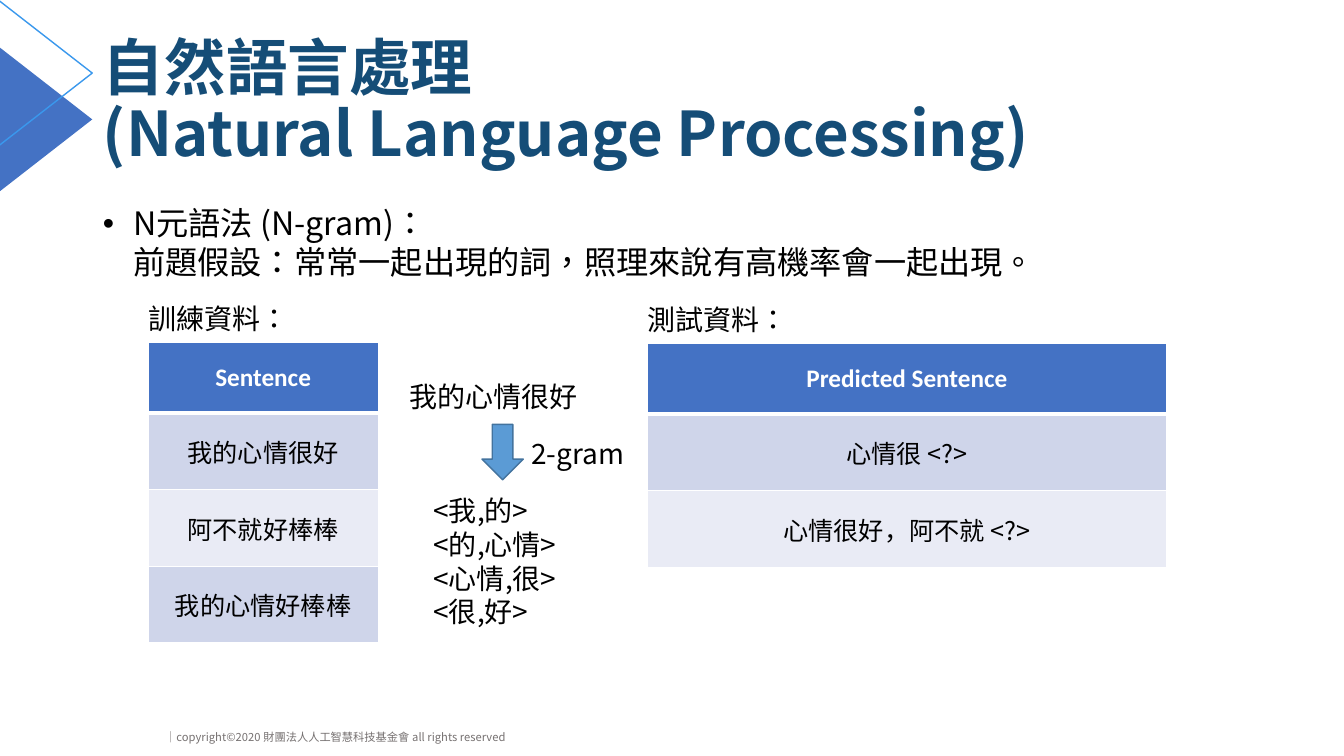
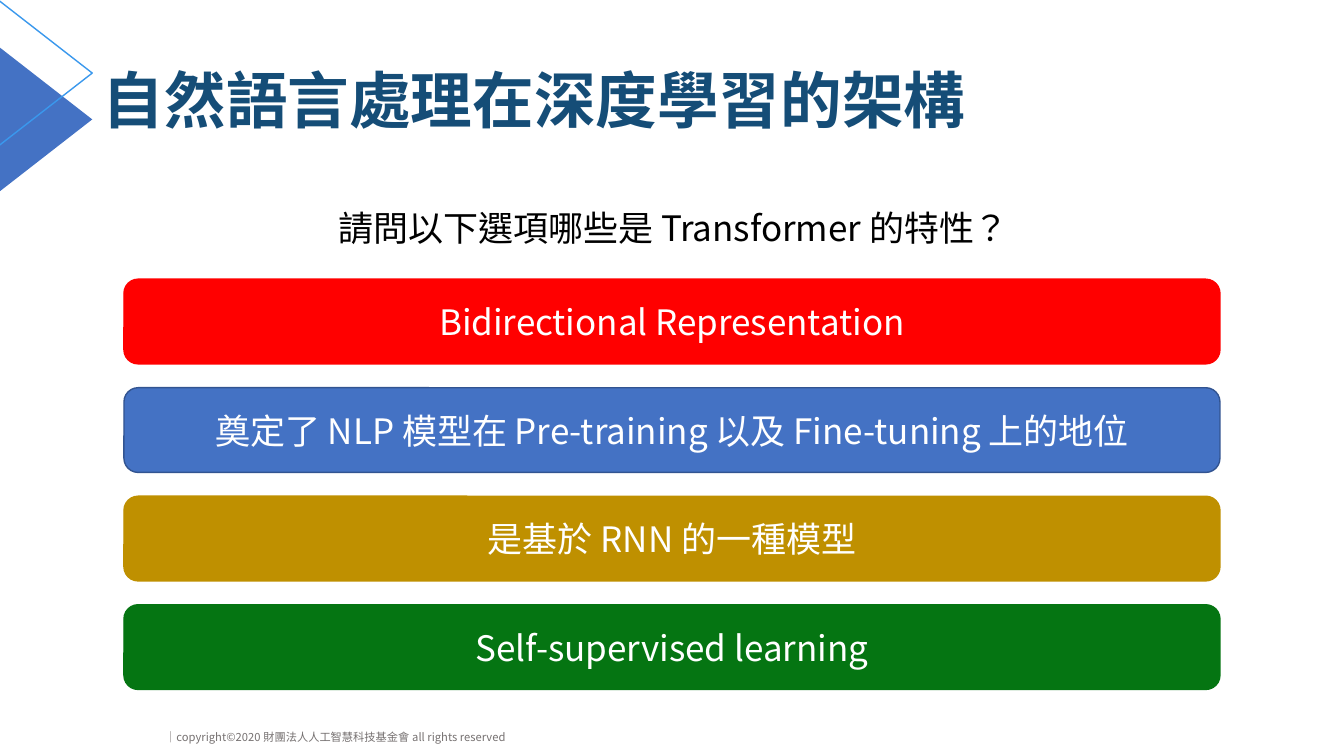
"""Build two slides on natural language processing."""
from pptx import Presentation
from pptx import util as u
from pptx.dml.color import RGBColor
from pptx.enum import lang, shapes, text
from pptx.oxml import ns, xmlchemy

FACE, HEAD_FACE, FOOT_FACE = "Noto Sans CJK SC", "Calibri", "Noto Sans CJK TC"
TITLE_SIZE, LIST_SIZE, QUIZ_SIZE = 44, 23, 25
LABEL_SIZE, CELL_SIZE, FOOT_SIZE = 20, 18, 8
HEAD_HIGH, ROW_HIGH = 0.7, 0.76
PAD = 0.1

NAVY = RGBColor(0x15, 0x4D, 0x77)
BLUE = RGBColor(0x44, 0x72, 0xC4)
DEEP = RGBColor(0x32, 0x54, 0x91)
SKY = RGBColor(0x3A, 0x98, 0xED)
PALE = RGBColor(0x5B, 0x9B, 0xD5)
STEEL = RGBColor(0x43, 0x73, 0x9E)
GRAY = RGBColor(0x76, 0x71, 0x71)
RED = RGBColor(0xFF, 0x00, 0x00)
GOLD = RGBColor(0xBF, 0x90, 0x00)
GREEN = RGBColor(0x05, 0x75, 0x12)
BLACK = RGBColor(0x00, 0x00, 0x00)
WHITE = RGBColor(0xFF, 0xFF, 0xFF)
BANDS = (RGBColor(0xCF, 0xD5, 0xEA), RGBColor(0xE9, 0xEB, 0xF5))

LEFT, CENTER = text.PP_ALIGN.LEFT, text.PP_ALIGN.CENTER
MIDDLE = text.MSO_ANCHOR.MIDDLE
FIXED = text.MSO_AUTO_SIZE.NONE
KIND = shapes.MSO_SHAPE
TAIWAN = lang.MSO_LANGUAGE_ID.TRADITIONAL_CHINESE


def inches(*sizes):
    """Turn numbers into lengths."""
    return [u.Inches(size) for size in sizes]


def node(parent, tag, **attrs):
    """Append an XML child with attributes."""
    child = xmlchemy.OxmlElement(tag)
    for key, value in attrs.items():
        child.set(key, str(value))
    parent.append(child)
    return child


def style(para, size, color=BLACK, bold=False, face=FACE, align=LEFT):
    """Format one paragraph, for Latin and East Asian text."""
    para.alignment = align
    font = para.font
    font.size, font.bold, font.name = u.Pt(size), bold, face
    font.color.rgb = color
    base = para._p.pPr.find(ns.qn("a:defRPr"))
    node(base, "a:ea", typeface=face)


def local(para):
    """Mark a paragraph as Taiwanese, which centres its punctuation."""
    for run in para.runs:
        run.font.language_id = TAIWAN


def place(shape, *spot):
    """Move and size a shape in inches."""
    shape.left, shape.top, shape.width, shape.height = inches(*spot)


def label(slide, spot, *lines, size=LABEL_SIZE, **look):
    """Add a text box with one paragraph per line."""
    box = slide.shapes.add_textbox(*inches(*spot))
    frame = box.text_frame
    frame.word_wrap = True
    frame.text = "\n".join(lines)
    for para in frame.paragraphs:
        local(para)
        style(para, size, **look)
    return box


def paint(part, color):
    """Fill with a colour, or clear the fill if there is none."""
    if color is None:
        part.background()
    else:
        part.solid()
        part.fore_color.rgb = color


def block(slide, kind, spot, fill=None, line=None):
    """Add a flat preset shape."""
    shape = slide.shapes.add_shape(kind, *inches(*spot))
    shape.shadow.inherit = False
    paint(shape.fill, fill)
    paint(shape.line.fill, line)
    shape.line.width = u.Pt(1 if line else 0)
    return shape


def wedge(slide, y, fill=None, line=None):
    """Add a corner triangle that points right."""
    shape = block(slide, KIND.ISOSCELES_TRIANGLE, (-0.35, y, 1.54, 0.99),
                  fill, line)
    shape.rotation = 90
    return shape


def dress(layout, slide):
    """Move the shared footer and corner from a slide to its layout."""
    place(layout.placeholders[0], 0.92, 0.3, 11.5, 1.45)
    foot = label(slide, (1.54, 7.2, 3.83, 0.24),
                 "｜copyright©2020 財團法人人工智慧科技基金會 all rights reserved",
                 size=FOOT_SIZE, color=GRAY, face=FOOT_FACE)
    parts = (foot, wedge(slide, 0.69, fill=BLUE), wedge(slide, 0.23, line=SKY))
    for number, part in enumerate(parts, 20):
        part.element.nvSpPr.cNvPr.set("id", str(number))
        layout.shapes.element.append(part.element)


def title(slide, words):
    """Fill the title."""
    frame = slide.shapes.title.text_frame
    frame.auto_size, frame.vertical_anchor = FIXED, MIDDLE
    frame.text = words
    para = frame.paragraphs[0]
    para.line_spacing = 0.9
    style(para, TITLE_SIZE, NAVY, bold=True)


def bullet(para, inset, mark):
    """Set the indent of a paragraph and its bullet, if any."""
    prop = para._p.get_or_add_pPr()
    prop.set("marL", str(u.Inches(inset)))
    prop.set("indent", str(u.Inches(-inset if mark else 0)))
    if mark:
        node(prop, "a:buFont", typeface="Arial")
        node(prop, "a:buChar", char=mark)
    else:
        node(prop, "a:buNone")


def body(slide, spot, size, *items, inset=0):
    """Fill the body with pairs of bullet mark and words."""
    holder = slide.placeholders[1]
    place(holder, *spot)
    frame = holder.text_frame
    frame.auto_size = FIXED
    frame.text = "\n".join(words for _, words in items)
    for para, (mark, _) in zip(frame.paragraphs, items):
        para.space_before = u.Pt(0)
        bullet(para, inset, mark)
        local(para)
        style(para, size)


def border(cell, bottom):
    """Draw white cell borders with a given bottom width."""
    prop = cell._tc.get_or_add_tcPr()
    for side, width in zip("LRTB", (1, 1, 1, bottom)):
        line = node(prop, f"a:ln{side}", w=u.Pt(width))
        node(node(line, "a:solidFill"), "a:srgbClr", val=WHITE)


def fill_cell(cell, words, fill, bottom, **look):
    """Write, colour and frame one table cell."""
    border(cell, bottom)
    paint(cell.fill, fill)
    cell.vertical_anchor = MIDDLE
    cell.text = words
    style(cell.text_frame.paragraphs[0], CELL_SIZE, align=CENTER, **look)


def sample(slide, spot, caption, header, *rows):
    """Add a captioned one-column table with banded rows."""
    x, y, width = spot
    label(slide, (x - PAD, y - 0.46, 1.6, 0.44), caption)
    height = HEAD_HIGH + ROW_HIGH * len(rows)
    table = slide.shapes.add_table(len(rows) + 1, 1,
                                   *inches(x, y, width, height)).table
    table.rows[0].height = u.Inches(HEAD_HIGH)
    fill_cell(table.cell(0, 0), header, BLUE, 3,
              color=WHITE, bold=True, face=HEAD_FACE)
    for number, words in enumerate(rows, 1):
        table.rows[number].height = u.Inches(ROW_HIGH)
        band = BANDS[(number - 1) % len(BANDS)]
        fill_cell(table.cell(number, 0), words, band, 1)


def split(slide):
    """Show how one sentence splits into pairs."""
    label(slide, (3.96, 3.72, 2.14, 0.44), "我的心情很好")
    block(slide, KIND.DOWN_ARROW, (4.78, 4.21, 0.41, 0.55), PALE, STEEL)
    label(slide, (5.17, 4.28, 1.37, 0.44), "2-gram")
    words = ("我", "的", "心情", "很", "好")
    pairs = (f"<{one},{two}>" for one, two in zip(words, words[1:]))
    label(slide, (4.2, 4.85, 1.99, 1.45), *pairs)


def grams(slide):
    """Show N-grams between training and test tables."""
    title(slide, "自然語言處理\v(Natural Language Processing)")
    body(slide, (0.92, 1.97, 9.9, 0.88), LIST_SIZE,
         ("•", "N元語法 (N-gram)："),
         (None, "前題假設：常常一起出現的詞，照理來說有高機率會一起出現。"),
         inset=0.3)
    sample(slide, (1.47, 3.4, 2.28), "訓練資料：", "Sentence",
           "我的心情很好", "阿不就好棒棒", "我的心情好棒棒")
    sample(slide, (6.42, 3.41, 5.15), "測試資料：", "Predicted Sentence",
           "心情很 <?>", "心情很好，阿不就 <?>")
    split(slide)


def choices(slide, top, last, *picks):
    """Stack answer bars evenly from the top to the last position."""
    step = (last - top) / (len(picks) - 1)
    for number, (words, fill, line) in enumerate(picks):
        spot = (1.23, top + step * number, 10.87, 0.84)
        bar = block(slide, KIND.ROUNDED_RECTANGLE, spot, fill, line)
        frame = bar.text_frame
        frame.vertical_anchor = MIDDLE
        frame.text = words
        style(frame.paragraphs[0], QUIZ_SIZE, WHITE, align=CENTER)


def quiz(slide):
    """Show a question with four answer bars."""
    title(slide, "自然語言處理在深度學習的架構")
    body(slide, (3.26, 2, 7.2, 0.52), QUIZ_SIZE,
         (None, "請問以下選項哪些是 Transformer 的特性？"))
    choices(slide, 2.77, 6,
            ("Bidirectional Representation", RED, RED),
            ("奠定了 NLP 模型在 Pre-training 以及 Fine-tuning 上的地位", BLUE, DEEP),
            ("是基於 RNN 的一種模型", GOLD, GOLD),
            ("Self-supervised learning", GREEN, GREEN))


def main():
    """Build and save the slides."""
    deck = Presentation()
    deck.slide_width, deck.slide_height = inches(13.33, 7.5)
    layout = deck.slide_layouts[1]
    first, second = (deck.slides.add_slide(layout) for _ in range(2))
    dress(layout, first)
    grams(first)
    quiz(second)
    deck.save("out.pptx")


if __name__ == "__main__":
    main()
